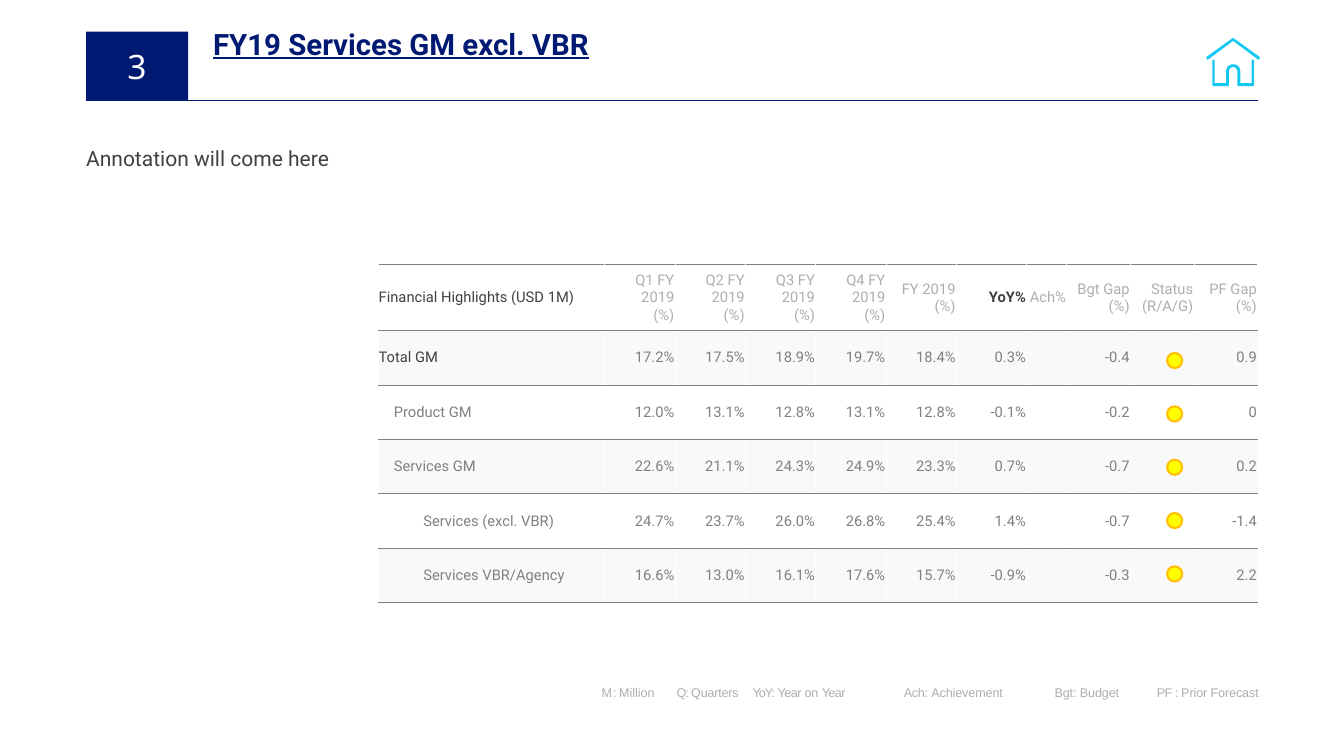
from lxml import etree
from pptx import Presentation
from pptx import util as u
from pptx.dml import color
from pptx.enum import shapes, text
from pptx.oxml import ns

NAVY, CYAN, DARK, GREY, PALE = "001973", "14C9F1", "404040", "808080", "ADAEAF"
WHITE, BAND, YELLOW, AMBER = "FFFFFF", "F9F9FB", "FFFF00", "FFC000"
LEFT, RIGHT, CENTER = text.PP_ALIGN.LEFT, text.PP_ALIGN.RIGHT, text.PP_ALIGN.CENTER
TOP, MIDDLE = text.MSO_ANCHOR.TOP, text.MSO_ANCHOR.MIDDLE

HEADERS = ["Financial Highlights (USD 1M)", "Q1 FY 2019\n(%)", "Q2 FY 2019\n(%)",
           "Q3 FY 2019\n(%)", "Q4 FY 2019\n(%)", "FY 2019\n(%)", "YoY%", "Ach%",
           "Bgt Gap\n(%)", "Status\n(R/A/G)", "PF Gap\n(%)"]
MARGINS = [
    (0, ["Total GM", "17.2%", "17.5%", "18.9%", "19.7%", "18.4%", "0.3%", "", "-0.4", "", "0.9"]),
    (14.4, ["Product GM", "12.0%", "13.1%", "12.8%", "13.1%", "12.8%", "-0.1%", "", "-0.2", "", "0"]),
    (14.4, ["Services GM", "22.6%", "21.1%", "24.3%", "24.9%", "23.3%", "0.7%", "", "-0.7", "", "0.2"]),
    (42.5, ["Services (excl. VBR)", "24.7%", "23.7%", "26.0%", "26.8%", "25.4%", "1.4%", "", "-0.7", "", "-1.4"]),
    (42.5, ["Services VBR/Agency", "16.6%", "13.0%", "16.1%", "17.6%", "15.7%", "-0.9%", "", "-0.3", "", "2.2"]),
]
COLUMN_WIDTHS = [216] + [67] * 6 + [38.2] + [60.6] * 3
LEGEND = [("M : ", -1.1), ("Million\t", 0), ("Q: ", -1.1), ("Quarters\t", -0.2),
          ("YoY: ", -0.9), ("Year ", -0.5), ("on ", -0.1), ("Year\t", -0.5),
          ("Ach: ", -0.3), ("Achievement\tBgt: Budget\t", -0.1), ("PF ", -0.7),
          (": ", -0.8), ("Prior Forecast", -0.1)]
LEGEND_STOPS = [71.6, 143.8, 288, 431.5, 529]
ROOF_HALF = [(25.5, 0), (0.5, 18), (0, 19.2), (0.5, 20.4), (1.5, 20.9), (25.5, 2.9)]
WALL_HALF = [(19.8, 4.3), (17.3, 4.7), (15, 6), (13.5, 8.3), (13, 11), (13, 22.3),
             (2.2, 22.3), (2.2, 0.7), (1.5, 0), (0.7, 0), (0, 0.7), (0, 24.5),
             (0.7, 25.2), (15.1, 25.2), (15.8, 24.5), (15.8, 11), (16.2, 9.4),
             (17.1, 7.9), (18.4, 7.2), (19.8, 6.8)]


def rgb(value):
    return color.RGBColor.from_string(value)


def points(*values):
    return [u.Pt(value) for value in values]


def write(frame, content, *, size, fill, font="Roboto", bold=False, underline=False,
          align=LEFT, anchor=TOP, before=0, line=None, indent=0, spacing=0):
    frame.word_wrap = True
    frame.vertical_anchor = anchor
    runs = [(content, spacing)] if isinstance(content, str) else content
    lines = [[]]
    for words, gap in runs:
        first, *rest = words.split("\n")
        lines[-1].append((first, gap))
        lines.extend([(part, gap)] for part in rest)
    for index, parts in enumerate(lines):
        paragraph = frame.add_paragraph() if index else frame.paragraphs[0]
        paragraph.alignment = align
        paragraph.space_before = u.Pt(before)
        paragraph.line_spacing = line
        if indent:
            properties = paragraph._p.get_or_add_pPr()
            properties.set("marL", str(u.Pt(indent)))
            properties.set("indent", "0")
        for words, gap in parts:
            run = paragraph.add_run()
            run.text = words
            run.font.size, run.font.name = u.Pt(size), font
            run.font.bold, run.font.underline = bold, underline
            run.font.color.rgb = rgb(fill)
            if gap:
                run._r.get_or_add_rPr().set("spc", str(round(gap * 100)))


def set_insets(target, left=0, top=0, right=0, bottom=0):
    target.margin_left, target.margin_top = points(left, top)
    target.margin_right, target.margin_bottom = points(right, bottom)


def paint(shape, fill, outline=None, width=1):
    shape.shadow.inherit = False
    shape.fill.solid()
    shape.fill.fore_color.rgb = rgb(fill)
    if outline:
        shape.line.color.rgb = rgb(outline)
        shape.line.width = u.Pt(width)
    else:
        shape.line.fill.background()


def add_symmetric_outline(slide, left, top, half, width):
    outline = half + [(width - x, y) for x, y in reversed(half)]
    vertices = [points(x, y) for x, y in outline]
    builder = slide.shapes.build_freeform(*vertices[0])
    builder.add_line_segments(vertices[1:], close=True)
    paint(builder.convert_to_shape(*points(left, top)), CYAN)


def add_house(slide, left, top):
    add_symmetric_outline(slide, left, top, ROOF_HALF, 51)
    add_symmetric_outline(slide, left + 5.8, top + 20.9, WALL_HALF, 39.6)


def add_header(slide, left, top, width, height):
    title = slide.shapes.title
    title.left, title.top, title.width, title.height = points(left + 120.2, top - 6.5, 804.2, 35.3)
    set_insets(title.text_frame, top=0.9)
    write(title.text_frame, "FY19 Services GM excl. VBR", size=28, fill=NAVY, bold=True,
          underline=True, before=1, indent=0.8)
    add_house(slide, left + width - 49, top + 5.8)

    bottom = top + height
    rule = slide.shapes.add_connector(shapes.MSO_CONNECTOR.STRAIGHT,
                                      *points(left, bottom, left + width, bottom))
    rule.line.color.rgb, rule.line.width = rgb(NAVY), u.Pt(0.75)
    etree.SubElement(rule._element.spPr, ns.qn("a:effectLst"))

    number = slide.shapes.add_shape(shapes.MSO_SHAPE.RECTANGLE, *points(left, top, 97.2, height))
    paint(number, NAVY)
    set_insets(number.text_frame)
    write(number.text_frame, "3", size=32, fill=WHITE, font="Noto Sans",
          align=CENTER, anchor=MIDDLE, spacing=-2)


def add_annotation(slide, left, top, width, height):
    box = slide.shapes.add_textbox(*points(left, top, width, height))
    set_insets(box.text_frame, top=0.9)
    write(box.text_frame, "Annotation will come here", size=20, fill=DARK, line=1.5)


def add_legend(slide, left, top, width, height):
    box = slide.shapes.add_textbox(*points(left, top, width, height))
    set_insets(box.text_frame, left=182, top=0.9)
    write(box.text_frame, LEGEND, size=12, fill=PALE, font="Arial", before=1)
    properties = box.text_frame.paragraphs[0]._p.get_or_add_pPr()
    stops = etree.SubElement(properties, ns.qn("a:tabLst"))
    for stop in LEGEND_STOPS:
        etree.SubElement(stops, ns.qn("a:tab"), pos=str(u.Pt(stop)), algn="l")


def set_borders(cell):
    properties = cell._tc.get_or_add_tcPr()
    sides = [("a:lnL", WHITE, 1), ("a:lnR", WHITE, 1), ("a:lnT", GREY, 0.25), ("a:lnB", GREY, 0.25)]
    for index, (side, line_color, width) in enumerate(sides):
        line = etree.Element(ns.qn(side), w=str(u.Pt(width)))
        fill = etree.SubElement(line, ns.qn("a:solidFill"))
        etree.SubElement(fill, ns.qn("a:srgbClr"), val=line_color)
        properties.insert(index, line)


def cell_color(row, column):
    if row == 0:
        return DARK if column in (0, 6) else PALE
    return DARK if (row, column) == (1, 0) else GREY


def add_margin_table(slide, left, top, width, height):
    rows = [(0, HEADERS)] + MARGINS
    header_height = 62.6
    row_height = (height - header_height) / len(MARGINS)
    frame = slide.shapes.add_table(len(rows), len(HEADERS), *points(left, top, width, height))
    table = frame.table
    table.first_row = table.horz_banding = False
    for column, column_width in zip(table.columns, COLUMN_WIDTHS):
        column.width = u.Pt(column_width)
    for row, (indent, values) in enumerate(rows):
        table.rows[row].height = u.Pt(row_height if row else header_height)
        for column, value in enumerate(values):
            cell = table.cell(row, column)
            cell.fill.solid()
            cell.fill.fore_color.rgb = rgb(BAND if row % 2 else WHITE)
            set_borders(cell)
            set_insets(cell, left=0.7, top=0.7, right=0.7)
            cell.vertical_anchor = MIDDLE
            if value:
                write(cell.text_frame, value, size=14, fill=cell_color(row, column),
                      bold=(row, column) == (0, 6), align=RIGHT if column else LEFT,
                      anchor=None, indent=0 if column else indent)


def add_status_lights(slide, left, top, diameter, step):
    group = slide.shapes.add_group_shape()
    for index in range(len(MARGINS)):
        light = group.shapes.add_shape(shapes.MSO_SHAPE.OVAL,
                                       *points(left, top + index * step, diameter, diameter))
        paint(light, YELLOW, AMBER, 2)


def main():
    presentation = Presentation()
    presentation.slide_width, presentation.slide_height = points(1280.16, 720)
    slide = presentation.slides.add_slide(presentation.slide_layouts[5])
    add_header(slide, 82, 30.2, 1116, 65.5)
    add_annotation(slide, 82, 126, 922.3, 33.8)
    add_legend(slide, 391, 651.6, 809.3, 20.9)
    add_margin_table(slide, 360, 252, 838, 321.8)
    add_status_lights(slide, 1111.7, 336.2, 14.4, 50.8)
    presentation.save("out.pptx")


if __name__ == "__main__":
    main()
